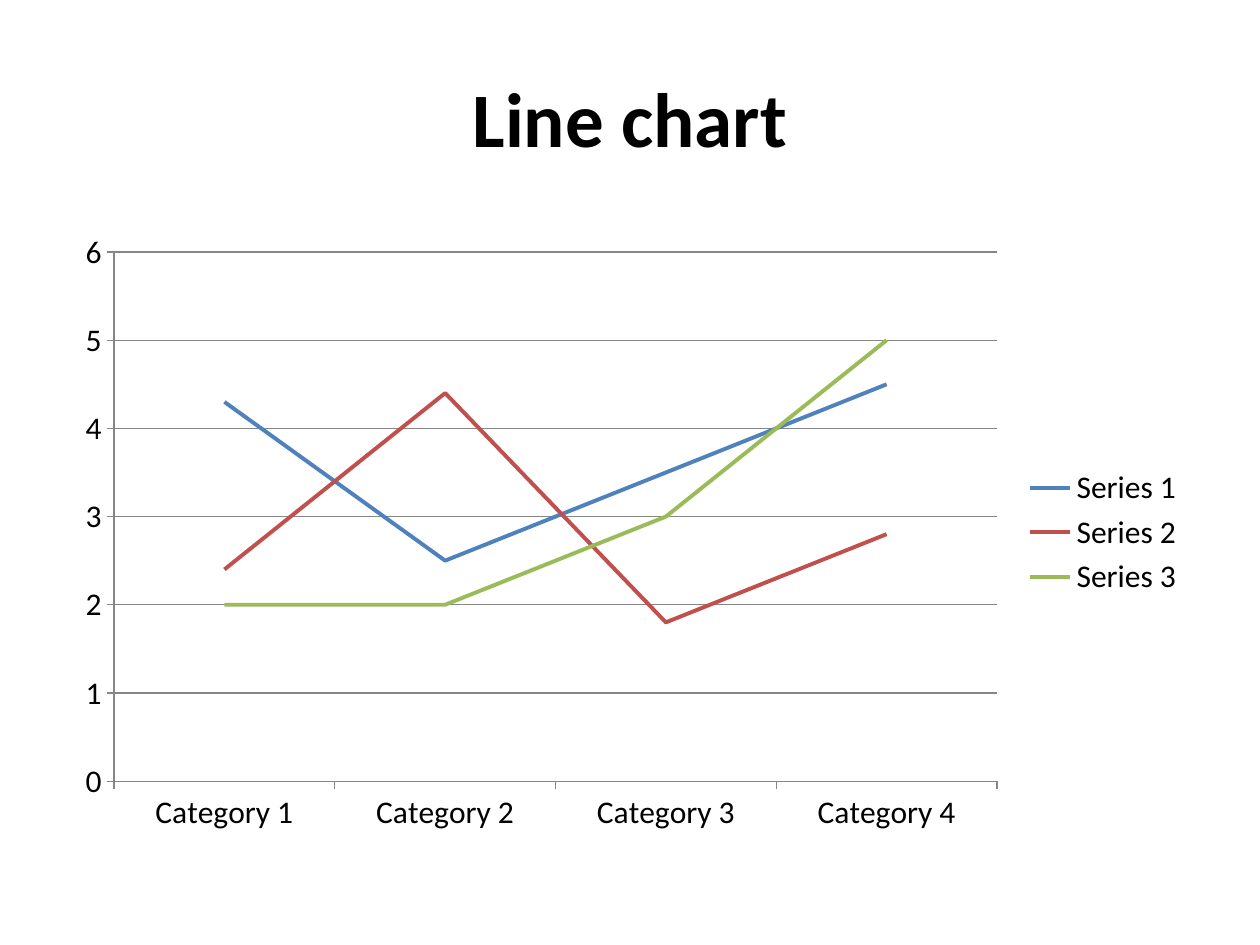
from dataclasses import dataclass

from pptx import Presentation
from pptx.chart.data import CategoryChartData
from pptx.dml.color import RGBColor
from pptx.enum.chart import XL_CHART_TYPE, XL_LEGEND_POSITION, XL_TICK_MARK
from pptx.enum.text import MSO_ANCHOR, PP_ALIGN
from pptx.util import Pt

LINE_CHART = XL_CHART_TYPE.LINE
LEGEND_RIGHT = XL_LEGEND_POSITION.RIGHT
TICK_OUTSIDE = XL_TICK_MARK.OUTSIDE
MIDDLE = MSO_ANCHOR.MIDDLE
CENTER = PP_ALIGN.CENTER

TITLE_ONLY = 5
BLACK = "000000"
GRAY = "868686"
TITLE_FORMAT = {"name": "Calibri", "size": Pt(44), "bold": True}
CHART_FORMAT = {"name": "Calibri", "size": Pt(18), "bold": False}
CATEGORIES = [f"Category {number}" for number in range(1, 5)]


@dataclass(frozen=True)
class Series:
    name: str
    values: tuple[float, ...]
    color: str


SERIES = (
    Series("Series 1", (4.3, 2.5, 3.5, 4.5), "4F81BD"),
    Series("Series 2", (2.4, 4.4, 1.8, 2.8), "C0504D"),
    Series("Series 3", (2, 2, 3, 5), "9BBB59"),
)


def rgb(color: str) -> RGBColor:
    return RGBColor.from_string(color)


def format_font(font, settings: dict) -> None:
    for attribute, value in settings.items():
        setattr(font, attribute, value)
    font.color.rgb = rgb(BLACK)


def format_line(line, color: str, width: float) -> None:
    line.color.rgb = rgb(color)
    line.width = Pt(width)


def add_title(page, text: str) -> None:
    title = page.shapes.title
    title.left, title.top, title.width, title.height = Pt(36), Pt(21.6), Pt(648), Pt(90)
    frame = title.text_frame
    frame.text = text
    frame.vertical_anchor = MIDDLE
    paragraph = frame.paragraphs[0]
    paragraph.alignment = CENTER
    format_font(paragraph.runs[0].font, TITLE_FORMAT)


def add_line_chart(page) -> None:
    data = CategoryChartData()
    data.categories = CATEGORIES
    for series in SERIES:
        data.add_series(series.name, series.values)
    chart = page.shapes.add_chart(
        LINE_CHART, Pt(36), Pt(126), Pt(648), Pt(356.4), data
    ).chart
    format_font(chart.font, CHART_FORMAT)
    chart.has_title = False
    chart.has_legend = True
    chart.legend.position = LEGEND_RIGHT
    chart.legend.include_in_layout = False

    for axis in (chart.category_axis, chart.value_axis):
        axis.major_tick_mark = TICK_OUTSIDE
        format_line(axis.format.line, GRAY, 0.75)
    value_axis = chart.value_axis
    value_axis.minimum_scale, value_axis.maximum_scale = 0, 6
    value_axis.major_unit = 1
    value_axis.has_major_gridlines = True
    format_line(value_axis.major_gridlines.format.line, GRAY, 0.75)

    for plotted, series in zip(chart.plots[0].series, SERIES):
        plotted.smooth = False
        format_line(plotted.format.line, series.color, 2.25)


def main() -> None:
    deck = Presentation()
    deck.slide_width, deck.slide_height = Pt(720), Pt(540)
    page = deck.slides.add_slide(deck.slide_layouts[TITLE_ONLY])
    add_title(page, "Line chart")
    add_line_chart(page)
    deck.save("out.pptx")


if __name__ == "__main__":
    main()
